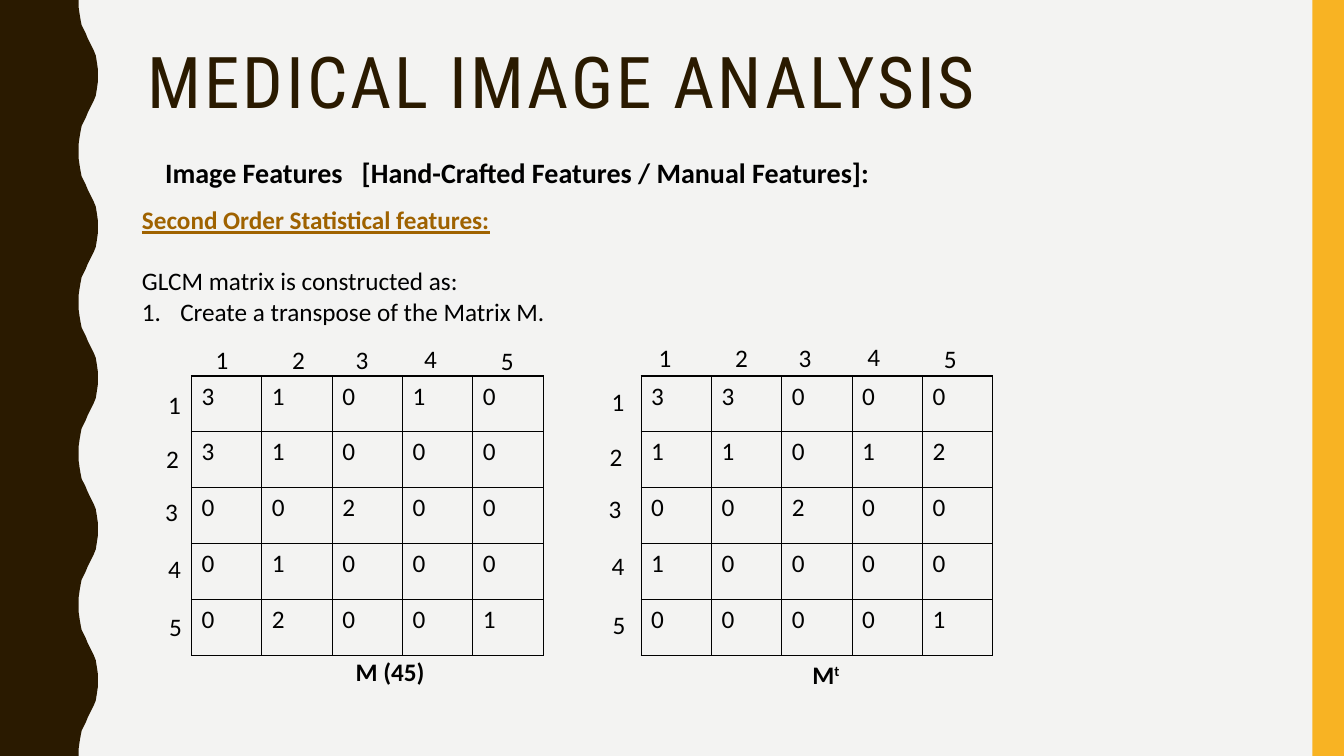
from lxml import etree
from pptx import Presentation
from pptx.dml.color import RGBColor
from pptx.enum.shapes import MSO_SHAPE
from pptx.oxml.ns import qn
from pptx.util import Inches, Pt

RECTANGLE = MSO_SHAPE.RECTANGLE
COLORS = {
    "paper": "F3F3F2",
    "brown": "2A1A00",
    "amber": "F8B323",
    "ochre": "9F6200",
    "ink": "000000",
}
COLUMNS, ROWS = 133.33, 75
BODY_FONT, TITLE_FONT = "Calibri", "Roboto Condensed"


def color(name):
    return RGBColor.from_string(COLORS[name])


class SlideBuilder:
    def __init__(self, presentation):
        self.column = presentation.slide_width / COLUMNS
        self.row = presentation.slide_height / ROWS
        self.slide = presentation.slides.add_slide(presentation.slide_layouts[6])
        self.shapes = self.slide.shapes
        background = self.slide.background.fill
        background.solid()
        background.fore_color.rgb = color("paper")

    def place(self, left, top, width, height):
        return (round(left * self.column), round(top * self.row),
                round(width * self.column), round(height * self.row))

    def paint(self, shape, fill):
        shape.shadow.inherit = False
        shape.fill.solid()
        shape.fill.fore_color.rgb = color(fill)
        shape.line.fill.background()

    def bar(self, left, top, width, height, fill):
        self.paint(self.shapes.add_shape(RECTANGLE, *self.place(left, top, width, height)), fill)

    def outline(self, points, fill):
        corners = [self.place(x, y, 0, 0)[:2] for x, y in points]
        builder = self.shapes.build_freeform(*corners[0])
        builder.add_line_segments(corners[1:], close=True)
        self.paint(builder.convert_to_shape(), fill)

    def style(self, paragraph, size=18, font=BODY_FONT, ink="ink", bold=False, underline=False):
        paragraph.font.size = Pt(size)
        paragraph.font.name = font
        paragraph.font.color.rgb = color(ink)
        paragraph.font.bold = bold
        paragraph.font.underline = underline
        return paragraph

    def text(self, left, top, width, height, words, **style):
        frame = self.shapes.add_textbox(*self.place(left, top, width, height)).text_frame
        frame.word_wrap = True
        paragraph = frame.paragraphs[0]
        paragraph.text = words
        return self.style(paragraph, **style)

    def add_line(self, frame, words, **style):
        paragraph = frame.add_paragraph()
        paragraph.text = words
        return self.style(paragraph, **style)

    def default_run(self, paragraph):
        return paragraph._p.get_or_add_pPr().find(qn("a:defRPr"))

    def track(self, paragraph, points):
        self.default_run(paragraph).set("spc", str(points * 100))

    def tab_stop(self, paragraph, inches):
        stops = etree.Element(qn("a:tabLst"))
        etree.SubElement(stops, qn("a:tab"), pos=str(Inches(inches)), algn="l")
        self.default_run(paragraph).addprevious(stops)

    def number(self, paragraph, indent):
        properties = paragraph._p.get_or_add_pPr()
        properties.set("marL", str(Inches(indent)))
        properties.set("indent", str(-Inches(indent)))
        numbering = etree.Element(qn("a:buAutoNum"), type="arabicPeriod")
        self.default_run(paragraph).addprevious(numbering)

    def superscript(self, paragraph, words):
        run = paragraph.add_run()
        run.text = words
        run._r.get_or_add_rPr().set("baseline", "30000")

    def border(self, cell):
        properties = cell._tc.get_or_add_tcPr()
        for side in ("a:lnL", "a:lnR", "a:lnT", "a:lnB"):
            line = etree.SubElement(properties, qn(side), w=str(Pt(1)))
            fill = etree.SubElement(line, qn("a:solidFill"))
            etree.SubElement(fill, qn("a:srgbClr"), val=COLORS["ink"])

    def matrix(self, left, top, width, height, values):
        frame = self.shapes.add_table(len(values), len(values[0]),
                                      *self.place(left, top, width, height))
        table = frame.table
        table.first_row = table.horz_banding = False
        for row, numbers in enumerate(values):
            for column, value in enumerate(numbers):
                cell = table.cell(row, column)
                cell.text = str(value)
                self.style(cell.text_frame.paragraphs[0])
                self.border(cell)
                cell.fill.background()

    def labels(self, positions, shift_x, shift_y):
        for index, (left, top) in enumerate(positions, 1):
            self.text(left + shift_x, top + shift_y, 3.4, 4, str(index))


def wave_edge():
    rise = [(7.8, 0), (7.8, 0.7), (7.9, 1.4), (8, 2), (8.1, 2.5), (8.3, 2.9),
            (8.5, 3.3), (8.7, 3.8), (8.9, 4.2), (9.1, 4.6), (9.3, 5),
            (9.5, 5.5), (9.6, 6.1), (9.7, 6.8), (9.7, 7.5)]
    period = 15
    fall = [(x, period - y) for x, y in reversed(rise[1:-1])]
    crests = [(x, y + start) for start in range(0, ROWS, period) for x, y in rise + fall]
    return [(0, 0), *crests, (7.8, ROWS), (0, ROWS)]


def main():
    presentation = Presentation()
    presentation.slide_width = Inches(13.33)
    presentation.slide_height = Inches(7.5)
    page = SlideBuilder(presentation)

    page.outline(wave_edge(), "brown")
    page.bar(130.2, 0, 3.13, ROWS, "amber")

    title = page.text(13.7, 4.2, 111.3, 16.3, "MEDICAL IMAGE ANALYSIS",
                      size=51, font=TITLE_FONT, ink="brown")
    title.line_spacing = 0.9
    page.track(title, 2)

    topic = page.text(15.4, 14.7, 87.8, 4.6,
                      "Image Features\t[Hand-Crafted Features / Manual Features]:",
                      size=20, bold=True)
    topic.line_spacing = 1.07
    page.tab_stop(topic, 1.95)

    section = page.text(13.1, 19.8, 45.4, 22.2, "Second Order Statistical features:",
                        ink="ochre", bold=True, underline=True)
    body = section._parent
    method = page.add_line(body, "GLCM matrix is constructed as:")
    method.space_before = Pt(22)
    step = page.add_line(body, "Create a transpose of the Matrix M.")
    page.number(step, 0.38)

    matrix = [
        (3, 1, 0, 1, 0),
        (3, 1, 0, 0, 0),
        (0, 0, 2, 0, 0),
        (0, 1, 0, 0, 0),
        (0, 2, 0, 0, 1),
    ]
    transpose = list(zip(*matrix))
    column_labels = [(20.4, 33.7), (28, 33.7), (34.3, 33.7), (41.1, 33.6), (48.7, 33.8)]
    row_labels = [(15.7, 38.1), (15.5, 43.5), (15.4, 48.7), (15.7, 54.4), (15.8, 60.2)]
    for values, left, column_shift, row_shift, lift in (
        (matrix, 19, 0, 0, 0),
        (transpose, 63.6, 43.95, 44, -0.25),
    ):
        page.matrix(left, 37.3, 34.9, 27.7, values)
        page.labels(column_labels, column_shift, lift)
        page.labels(row_labels, row_shift, lift)

    page.text(34.3, 64.6, 9.3, 4, "M (45)", bold=True)
    transpose_caption = page.text(79.6, 64.9, 5.2, 4, "M", bold=True)
    page.superscript(transpose_caption, "t")

    presentation.save("out.pptx")


if __name__ == "__main__":
    main()
